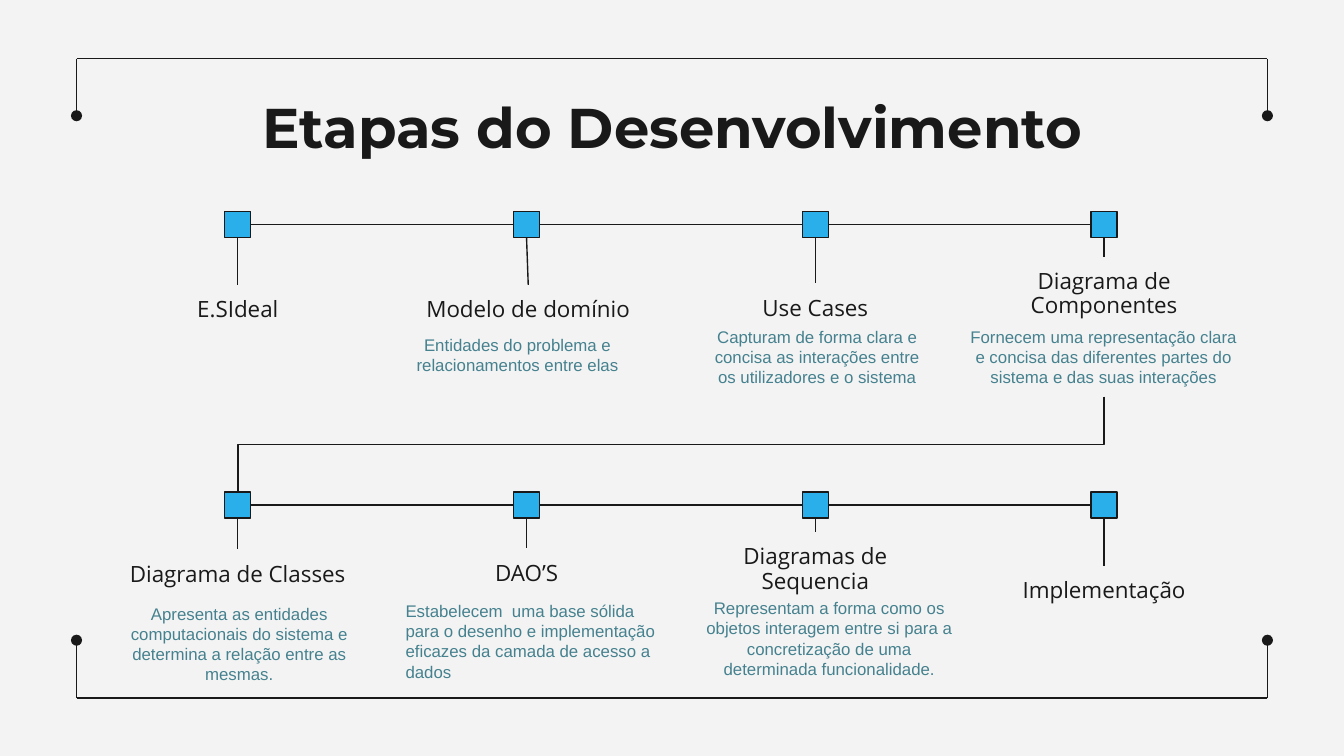
from dataclasses import dataclass
from typing import Optional

import lxml.etree
import pptx
import pptx.dml.color
import pptx.enum.shapes
import pptx.enum.text
import pptx.oxml.ns
import pptx.shapes.autoshape
import pptx.shapes.base
import pptx.shapes.connector
import pptx.slide
import pptx.text.text
import pptx.util

Pt = pptx.util.Pt
CENTER = pptx.enum.text.PP_ALIGN.CENTER
LEFT = pptx.enum.text.PP_ALIGN.LEFT
STRAIGHT = pptx.enum.shapes.MSO_CONNECTOR.STRAIGHT
ELBOW = pptx.enum.shapes.MSO_CONNECTOR.ELBOW
BOTTOM, RIGHT, TOP, LEFT_SIDE = 2, 3, 0, 1

COLORS = {"background": "F3F3F3", "ink": "191919", "marker": "2AAFEB", "detail": "45818E"}
FIRST_COLUMN, COLUMN_STEP = 127.4, 154.7
MARKER_SIZE = 14
LABEL_WIDTH = 142.6
FRAME_LEFT, FRAME_RIGHT = 41, 679


@dataclass
class Detail:
    text: str
    left: float
    top: float
    width: float
    height: float
    alignment: pptx.enum.text.PP_ALIGN = CENTER


@dataclass
class Step:
    label: str
    label_top: float
    detail: Optional[Detail] = None
    label_height: float = 29.5
    label_shift: float = 0


@dataclass
class Row:
    center: float
    steps: list[Step]


ROWS = [
    Row(120.2, [
        Step("E.SIdeal", 152.6),
        Step("Modelo de domínio", 152.6, Detail(
            "Entidades do problema e relacionamentos entre elas",
            211.7, 175.7, 131, 29), label_shift=0.9),
        Step("Use Cases", 151.9, Detail(
            "Capturam de forma clara e concisa as interações entre os utilizadores e o sistema",
            372.2, 171.4, 131, 40)),
        Step("Diagrama de Componentes", 137.5, Detail(
            "Fornecem uma representação clara e concisa das diferentes partes do sistema "
            "e das suas interações",
            510.5, 171.4, 161.3, 40), label_height=75),
    ]),
    Row(270.5, [
        Step("Diagrama de Classes", 294.4, Detail(
            "Apresenta as entidades computacionais do sistema e determina a relação entre as mesmas.",
            47.5, 319.7, 161.3, 51)),
        Step("DAO’S", 293.7, Detail(
            "Estabelecem  uma base sólida para o desenho e implementação eficazes "
            "da camada de acesso a dados",
            210.2, 318.2, 151.2, 51, LEFT)),
        Step("Diagramas de Sequencia", 285.1, Detail(
            "Representam a forma como os objetos interagem entre si para a concretização "
            "de uma determinada funcionalidade.",
            368.6, 316.8, 151.2, 51)),
        Step("Implementação", 303.1),
    ]),
]


def color(name: str) -> pptx.dml.color.RGBColor:
    return pptx.dml.color.RGBColor.from_string(COLORS[name])


def write(frame: pptx.text.text.TextFrame, text: str, font: str, size: float, ink: str,
          alignment: pptx.enum.text.PP_ALIGN = CENTER, spacing: float = 1,
          bold: bool = False, vertical_inset: float = 7.2) -> None:
    frame.word_wrap = True
    frame.auto_size = pptx.enum.text.MSO_AUTO_SIZE.NONE
    frame.vertical_anchor = pptx.enum.text.MSO_ANCHOR.TOP
    frame.margin_left = frame.margin_right = Pt(7.2)
    frame.margin_top = frame.margin_bottom = Pt(vertical_inset)
    paragraph = frame.paragraphs[0]
    paragraph.alignment = alignment
    paragraph.line_spacing = spacing
    run = paragraph.add_run()
    run.text = text
    run.font.name = font
    run.font.size = Pt(size)
    run.font.bold = bold
    run.font.color.rgb = color(ink)


def draw_line(slide: pptx.slide.Slide, start: tuple[float, float], end: tuple[float, float],
              kind: pptx.enum.shapes.MSO_CONNECTOR = STRAIGHT,
              dot: bool = False) -> pptx.shapes.connector.Connector:
    line = slide.shapes.add_connector(kind, *map(Pt, start + end))
    line.line.color.rgb = color("ink")
    line.line.width = Pt(0.75)
    properties = line._element.spPr
    if dot:
        outline = properties.find(pptx.oxml.ns.qn("a:ln"))
        lxml.etree.SubElement(outline, pptx.oxml.ns.qn("a:tailEnd"), type="oval")
    lxml.etree.SubElement(properties, pptx.oxml.ns.qn("a:effectLst"))
    return line


def join(slide: pptx.slide.Slide, first: pptx.shapes.base.BaseShape, first_side: int,
         second: pptx.shapes.base.BaseShape, second_side: int) -> None:
    line = draw_line(slide, (0, 0), (0, 0))
    line.begin_connect(first, first_side)
    line.end_connect(second, second_side)


def draw_frame(slide: pptx.slide.Slide) -> None:
    for edge, arm_end in ((31.5, 62), (374, 343)):
        draw_line(slide, (FRAME_LEFT, edge), (FRAME_RIGHT, edge))
        for side in (FRAME_LEFT, FRAME_RIGHT):
            draw_line(slide, (side, edge), (side, arm_end), dot=True)


def draw_marker(slide: pptx.slide.Slide, x: float, y: float) -> pptx.shapes.autoshape.Shape:
    marker = slide.shapes.add_shape(
        pptx.enum.shapes.MSO_SHAPE.RECTANGLE, Pt(x - MARKER_SIZE / 2), Pt(y - MARKER_SIZE / 2),
        Pt(MARKER_SIZE), Pt(MARKER_SIZE))
    marker.shadow.inherit = False
    marker.fill.solid()
    marker.fill.fore_color.rgb = color("marker")
    marker.line.color.rgb = color("ink")
    marker.line.width = Pt(0.75)
    return marker


def draw_row(slide: pptx.slide.Slide, row: Row) -> None:
    previous = None
    for column, step in enumerate(row.steps):
        x = FIRST_COLUMN + column * COLUMN_STEP
        marker = draw_marker(slide, x, row.center)
        label = slide.shapes.add_textbox(
            Pt(x + step.label_shift - LABEL_WIDTH / 2), Pt(step.label_top),
            Pt(LABEL_WIDTH), Pt(step.label_height))
        write(label.text_frame, step.label, "Open Sans", 12, "ink", spacing=0.9)
        join(slide, marker, BOTTOM, label, TOP)
        if previous is not None:
            join(slide, previous, RIGHT, marker, LEFT_SIDE)
        previous = marker
        if step.detail:
            detail = step.detail
            box = slide.shapes.add_textbox(
                Pt(detail.left), Pt(detail.top), Pt(detail.width), Pt(detail.height))
            write(box.text_frame, detail.text, "Arial", 9, "detail", detail.alignment,
                  vertical_inset=3.6)


def draw_row_link(slide: pptx.slide.Slide, upper: Row, lower: Row) -> None:
    last = upper.steps[-1]
    top = last.label_top + last.label_height
    bottom = lower.center - MARKER_SIZE / 2
    span = COLUMN_STEP * (len(upper.steps) - 1)
    x, y = FIRST_COLUMN + span / 2, (top + bottom) / 2
    drop = bottom - top
    link = draw_line(slide, (x - drop / 2, y - span / 2), (x + drop / 2, y + span / 2), ELBOW)
    link._element.spPr.find(pptx.oxml.ns.qn("a:xfrm")).set("rot", "5400000")


def main() -> None:
    presentation = pptx.Presentation()
    presentation.slide_width = Pt(720)
    presentation.slide_height = Pt(405)
    slide = presentation.slides.add_slide(presentation.slide_layouts[5])
    slide.background.fill.solid()
    slide.background.fill.fore_color.rgb = color("background")
    draw_frame(slide)
    title = slide.shapes.title
    title.left, title.top, title.width, title.height = map(Pt, (56.7, 42.5, 607, 45.4))
    write(title.text_frame, "Etapas do Desenvolvimento", "Montserrat", 30, "ink", bold=True)
    for row in ROWS:
        draw_row(slide, row)
    draw_row_link(slide, *ROWS)
    presentation.save("out.pptx")


if __name__ == "__main__":
    main()
